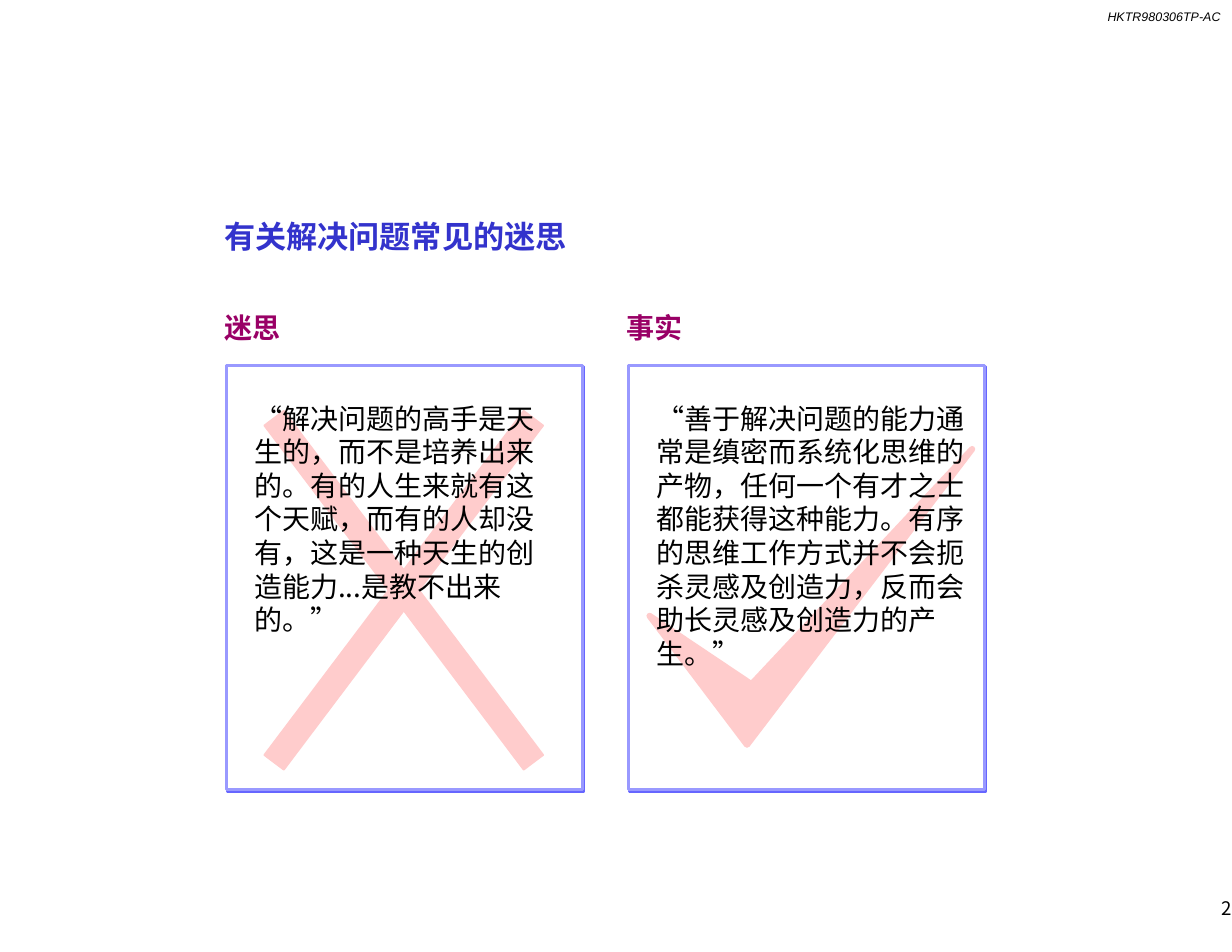
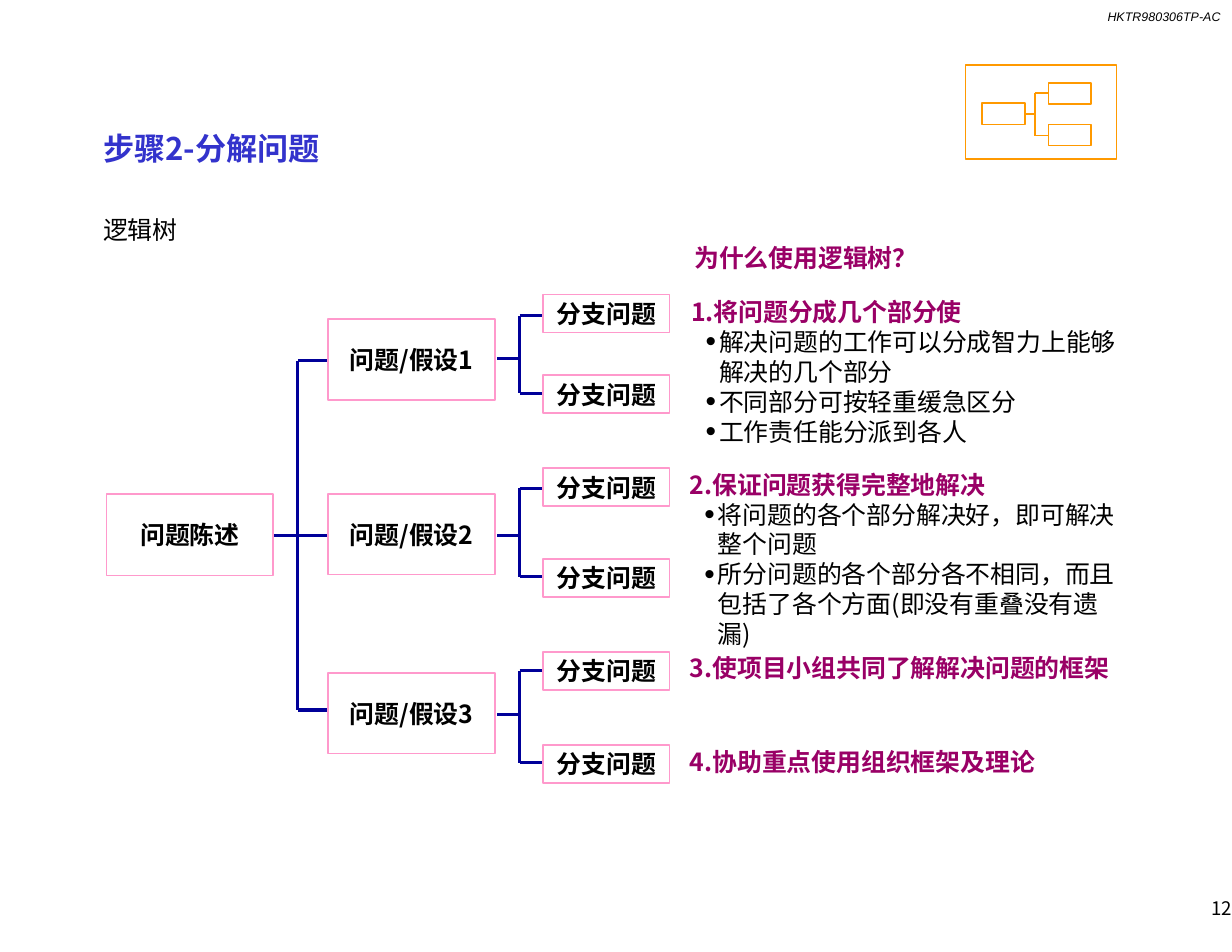
from lxml import etree
from pptx import Presentation
from pptx.dml.color import RGBColor
from pptx.enum.shapes import MSO_CONNECTOR, MSO_SHAPE
from pptx.enum.text import MSO_ANCHOR, MSO_AUTO_SIZE, PP_ALIGN
from pptx.oxml.ns import qn
from pptx.util import Inches, Pt

RECTANGLE = MSO_SHAPE.RECTANGLE
STRAIGHT = MSO_CONNECTOR.STRAIGHT
TOP, MIDDLE = MSO_ANCHOR.TOP, MSO_ANCHOR.MIDDLE
LEFT, CENTER, RIGHT = PP_ALIGN.LEFT, PP_ALIGN.CENTER, PP_ALIGN.RIGHT
TITLE_ONLY, TWO_CONTENT = 5, 3

COLORS = {
    "paper": "FFFFFF",
    "text": "000000",
    "title": "3333CC",
    "heading": "990066",
    "frame": "9999FF",
    "frame_shadow": "6666FF",
    "mark": "FFCCCC",
    "node": "FF99CC",
    "branch": "000099",
    "icon": "FF9900",
}
FONT = "Noto Sans CJK SC"
DOCUMENT_CODE = "HKTR980306TP-AC"


def color(name):
    return RGBColor.from_string(COLORS[name])


def add_element(parent, tag, **attributes):
    return etree.SubElement(parent, qn(tag), {key: str(value) for key, value in attributes.items()})


def write(para, text, size=16, fill="text", bold=False, italic=False, font=FONT,
          align=LEFT, compact=True):
    """Fill a paragraph; compact text has lines of 1.2 times its size."""
    para.alignment = align
    para.space_before = Pt(0)
    if compact:
        para.line_spacing = Pt(1.2 * size)
    span = para.add_run()
    span.text = text
    span.font.size = Pt(size)
    span.font.bold = bold
    span.font.italic = italic
    span.font.color.rgb = color(fill)
    span.font.name = font
    add_element(span.font._element, "a:ea", typeface=font)


def set_bullet(para):
    """Indent a paragraph, with a bullet slightly larger than its text."""
    para.level = 1
    properties = para._p.get_or_add_pPr()
    properties.set("marL", str(Inches(0.25)))
    properties.set("indent", str(Inches(-0.12)))
    tint = add_element(properties, "a:buClr")
    add_element(tint, "a:srgbClr", val=COLORS["text"])
    add_element(properties, "a:buSzPct", val=120000)
    add_element(properties, "a:buChar", char="•")


def remove_bullet(para):
    properties = para._p.get_or_add_pPr()
    properties.set("marL", "0")
    properties.set("indent", "0")
    add_element(properties, "a:buNone")


class SlideBuilder:
    def __init__(self):
        self.deck = Presentation()
        self.deck.slide_width = Inches(11)
        self.deck.slide_height = Inches(8.5)
        self.page = None

    def start(self, title, left, top, number, layout):
        """Add a page with its title, document code and page number."""
        self.page = self.deck.slides.add_slide(self.deck.slide_layouts[layout])
        heading = self.page.shapes.title
        self.place(heading, left, top, 8.93, 0.33, size=20)
        para = heading.text_frame.paragraphs[0]
        write(para, title, size=20, fill="title", bold=True)
        para.space_after = Pt(20)
        self.text(DOCUMENT_CODE, 9.09, 0.08, 1.81, 0.13, size=8, italic=True,
                  font="Arial", align=RIGHT, compact=False)
        self.text(number, 8.75, 7.99, 2.25, 0.24, anchor=MIDDLE, size=12,
                  align=RIGHT, compact=False)

    def place(self, box, left, top, width, height, size=16, anchor=TOP, compact=True):
        """Position a text holder and remove its padding."""
        box.left, box.top = Inches(left), Inches(top)
        box.width, box.height = Inches(width), Inches(height)
        frame = box.text_frame
        frame.word_wrap = True
        frame.auto_size = MSO_AUTO_SIZE.NONE
        frame.vertical_anchor = anchor
        frame.margin_left = frame.margin_right = frame.margin_bottom = 0
        # Compact lines sit high, so the first one is lowered a little.
        frame.margin_top = Pt(0.09 * size) if compact else 0

    def text(self, text, left, top, width, height, anchor=TOP, size=16, compact=True, **style):
        box = self.page.shapes.add_textbox(0, 0, 0, 0)
        self.place(box, left, top, width, height, size, anchor, compact)
        write(box.text_frame.paragraphs[0], text, size=size, compact=compact, **style)

    def bullet_list(self, index, heading, items, left, top, width, height):
        """Fill a body placeholder with a heading and its bullets."""
        body = self.page.placeholders[index]
        self.place(body, left, top, width, height)
        para = body.text_frame.paragraphs[0]
        remove_bullet(para)
        write(para, heading, fill="heading", bold=True)
        for item in items:
            para = body.text_frame.add_paragraph()
            set_bullet(para)
            write(para, item)

    def paint(self, shape, fill, line, weight):
        shape.shadow.inherit = False
        shape.fill.solid()
        shape.fill.fore_color.rgb = color(fill)
        shape.line.color.rgb = color(line)
        shape.line.width = Pt(weight)

    def rectangle(self, left, top, width, height, line, fill="paper", weight=1, label=None):
        shape = self.page.shapes.add_shape(
            RECTANGLE, Inches(left), Inches(top), Inches(width), Inches(height))
        self.paint(shape, fill, line, weight)
        if label:
            shape.text_frame.word_wrap = False
            shape.text_frame.vertical_anchor = MIDDLE
            write(shape.text_frame.paragraphs[0], label, bold=True, align=CENTER, compact=False)
        return shape

    def shadowed_frame(self, left, top, width, height):
        shape = self.rectangle(left, top, width, height, "frame", weight=2)
        effects = shape._element.spPr.find(qn("a:effectLst"))
        shadow = add_element(effects, "a:outerShdw", dist=Pt(1.4), dir=45 * 60000,
                             algn="tl", rotWithShape=0)
        add_element(shadow, "a:srgbClr", val=COLORS["frame_shadow"])

    def cross(self, left, top, length, thickness):
        for angle in (53, 307):
            bar = self.rectangle(left, top, length, thickness, "mark", fill="mark")
            bar.rotation = angle

    def check(self, points):
        corners = [(Inches(x), Inches(y)) for x, y in points]
        builder = self.page.shapes.build_freeform(*corners[0])
        builder.add_line_segments(corners[1:], close=True)
        self.paint(builder.convert_to_shape(), "mark", "mark", 4)

    def line(self, x1, y1, x2, y2, stroke, weight):
        connector = self.page.shapes.add_connector(
            STRAIGHT, Inches(x1), Inches(y1), Inches(x2), Inches(y2))
        connector.line.color.rgb = color(stroke)
        connector.line.width = Pt(weight)
        add_element(connector._element.spPr, "a:effectLst")

    def bracket(self, start, trunk, end, stem_y, tips, stroke="branch", weight=2):
        """Join a stem to several tips through a vertical trunk."""
        self.line(start, stem_y, trunk, stem_y, stroke, weight)
        self.line(trunk, tips[0], trunk, tips[-1], stroke, weight)
        for tip in tips:
            self.line(trunk, tip, end, tip, stroke, weight)


def build_myths(slides):
    slides.start("有关解决问题常见的迷思", 2, 1.92, "2", TITLE_ONLY)
    myth_left, fact_left = 2.02, 5.61
    for left in (myth_left, fact_left):
        slides.shadowed_frame(left, 3.26, 3.18, 3.79)
    slides.cross(1.68, 5.16, 3.85, 0.22)
    slides.check([(5.8, 5.5), (6.67, 6.65), (8.68, 4.01), (6.71, 6.11)])

    columns = [
        (myth_left, 2.74, "迷思",
         "“解决问题的高手是天生的，而不是培养出来的。有的人生来就有这个天赋，"
         "而有的人却没有，这是一种天生的创造能力...是教不出来的。”"),
        (fact_left, 2.81, "事实",
         "“善于解决问题的能力通常是缜密而系统化思维的产物，任何一个有才之士都能获得这种能力。"
         "有序的思维工作方式并不会扼杀灵感及创造力，反而会助长灵感及创造力的产生。”"),
    ]
    for left, width, heading, quote in columns:
        slides.text(heading, left - 0.02, 2.75, 1.72, 0.3, size=18, fill="heading", bold=True)
        slides.text(quote, left + 0.25, 3.56, width, 2.4, size=18)


def build_logic_tree(slides):
    slides.start("步骤2-分解问题", 0.92, 1.13, "12", TWO_CONTENT)
    slides.text("逻辑树", 0.92, 1.9, 5, 0.27)

    slides.rectangle(0.95, 4.41, 1.49, 0.73, "node", label="问题陈述")
    slides.bracket(2.45, 2.66, 2.92, 4.78, (3.22, 4.78, 6.34))
    issues = [
        (2.85, (2.63, 3.35), 3.2, (2.82, 3.51)),
        (4.41, (4.18, 4.99), 4.78, (4.36, 5.15)),
        (6.01, (5.82, 6.65), 6.38, (5.99, 6.81)),
    ]
    for number, (top, branch_tops, stem_y, tips) in enumerate(issues, 1):
        slides.rectangle(2.93, top, 1.49, 0.72, "node", label=f"问题/假设{number}")
        for branch_top in branch_tops:
            slides.rectangle(4.85, branch_top, 1.13, 0.34, "node", label="分支问题")
        slides.bracket(4.44, 4.64, 4.84, stem_y, tips)

    slides.bullet_list(1, "1.将问题分成几个部分使", [
        "解决问题的工作可以分成智力上能够解决的几个部分",
        "不同部分可按轻重缓急区分",
        "工作责任能分派到各人",
    ], 6.17, 2.63, 3.84, 1.33)
    slides.bullet_list(2, "2.保证问题获得完整地解决", [
        "将问题的各个部分解决好，即可解决整个问题",
        "所分问题的各个部分各不相同，而且包括了各个方面(即没有重叠没有遗漏)",
    ], 6.16, 4.17, 3.84, 1.6)
    for heading, left, top in [
        ("为什么使用逻辑树？", 6.2, 2.15),
        ("3.使项目小组共同了解解决问题的框架", 6.16, 5.81),
        ("4.协助重点使用组织框架及理论", 6.16, 6.65),
    ]:
        slides.text(heading, left, top, 3.84, 0.27, fill="heading", bold=True)

    slides.rectangle(8.62, 0.58, 1.35, 0.84, "icon")
    for left, top in [(8.77, 0.92), (9.36, 0.74), (9.36, 1.11)]:
        slides.rectangle(left, top, 0.38, 0.19, "icon")
    slides.bracket(9.16, 9.24, 9.36, 1.02, (0.83, 1.21), stroke="icon", weight=1)


def main():
    slides = SlideBuilder()
    build_myths(slides)
    build_logic_tree(slides)
    slides.deck.save("out.pptx")


if __name__ == "__main__":
    main()
